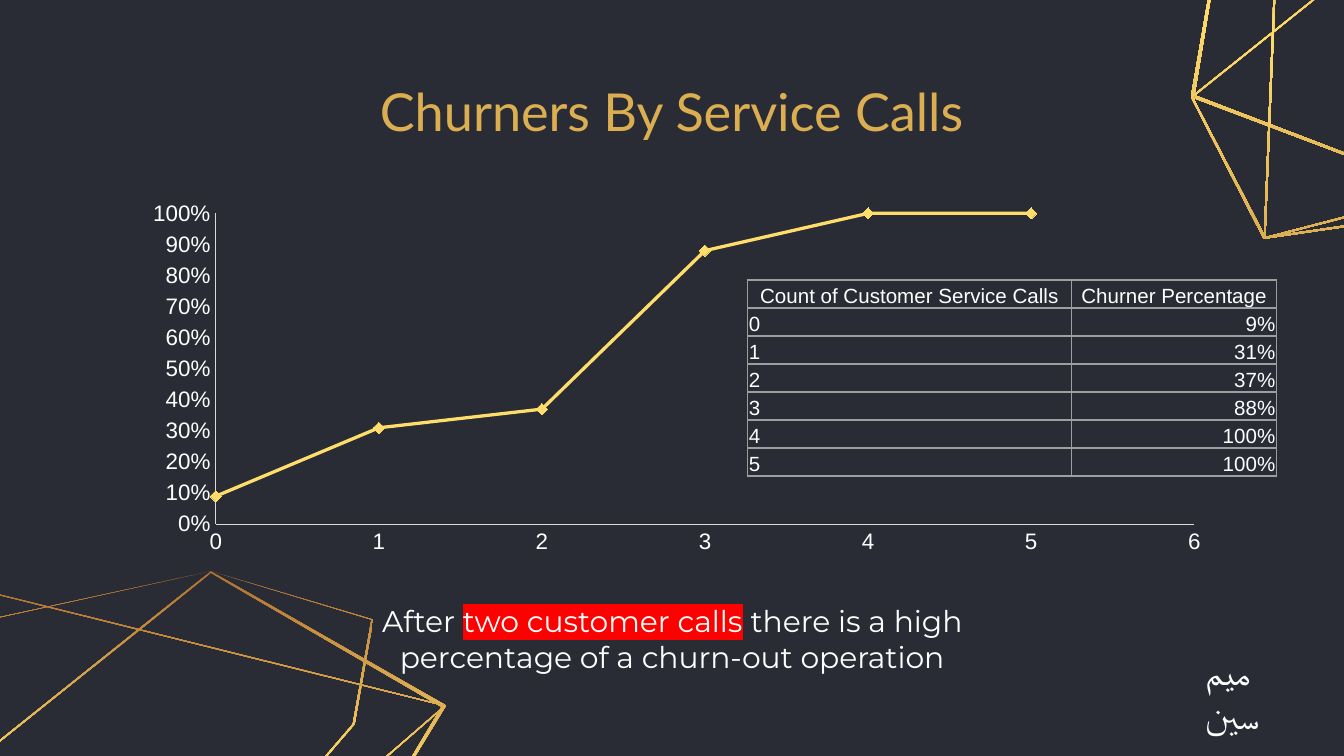
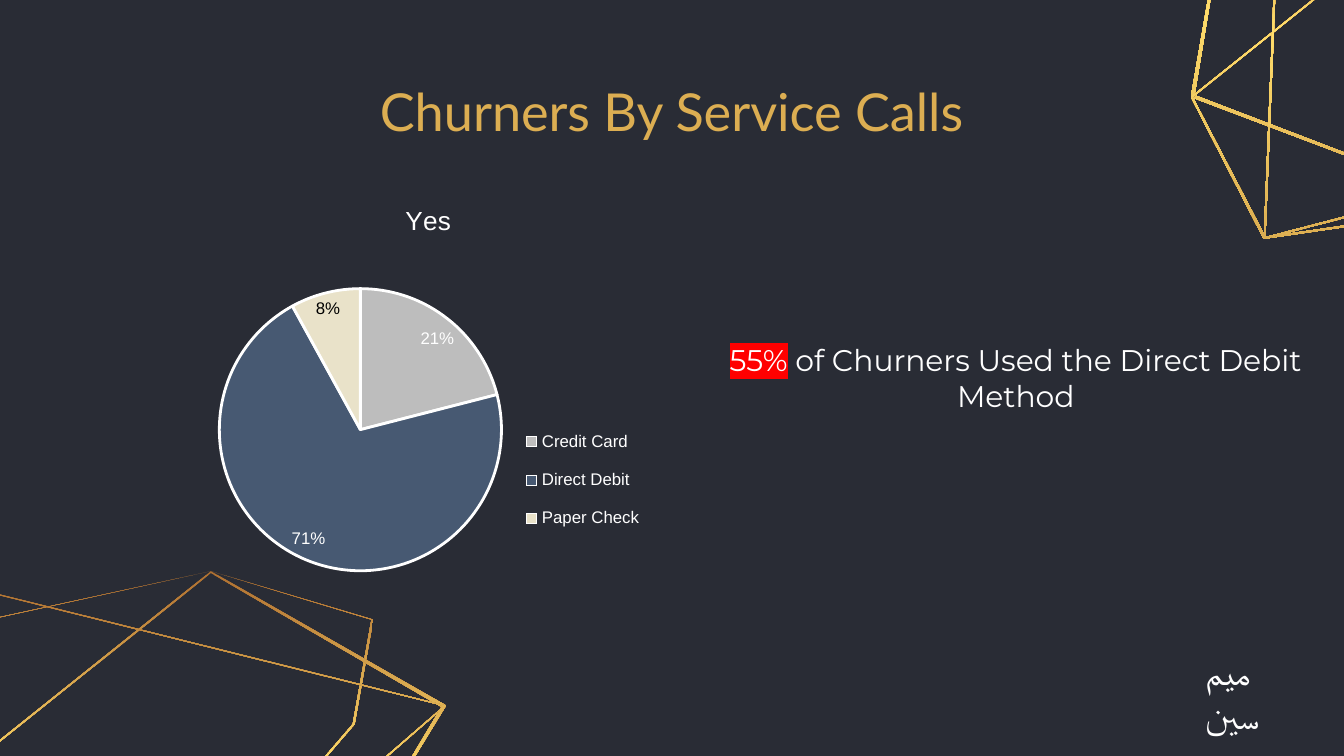
from lxml.etree import SubElement
from pptx import Presentation
from pptx.chart.data import CategoryChartData, XyChartData
from pptx.dml.color import RGBColor
from pptx.enum.chart import (XL_CHART_TYPE, XL_LABEL_POSITION, XL_LEGEND_POSITION,
                             XL_MARKER_STYLE, XL_TICK_MARK)
from pptx.enum.text import MSO_ANCHOR, MSO_AUTO_SIZE, PP_ALIGN
from pptx.oxml.ns import qn
from pptx.util import Pt

INK = RGBColor(0x29, 0x2C, 0x35)
WHITE = RGBColor(0xFF, 0xFF, 0xFF)
BLACK = RGBColor(0x00, 0x00, 0x00)
GOLD = RGBColor(0xDC, 0xAE, 0x52)
YELLOW = RGBColor(0xFF, 0xDD, 0x6B)
BRONZE = RGBColor(0xAF, 0x71, 0x32)
RED = RGBColor(0xFF, 0x00, 0x00)
AXIS_GREY = RGBColor(0xD9, 0xD9, 0xD9)
BORDER_GREY = RGBColor(0x9E, 0x9E, 0x9E)
SLICE_COLORS = (RGBColor(0xBD, 0xBD, 0xBD), RGBColor(0x47, 0x59, 0x72),
                RGBColor(0xE9, 0xE2, 0xC9))

HEADING = "Churners By Service Calls"
CHURN_RATES = (0.09, 0.31, 0.37, 0.88, 1, 1)
PAYMENT_SHARES = {"Credit Card": 21, "Direct Debit": 71, "Paper Check": 8}

# Corners of the wire polygons at the lower left, in points
WIRES = (
    ((-77, 458), (-57, 343), (113, 305.5), (200, 331.5), (190, 387.5), (79, 517)),
    ((-77, 458), (113, 305.5), (239, 378), (79, 517), (-38, 534)),
    ((-38, 534), (-29.5, 311), (239, 378), (178.5, 478)),
)
WIRE_OFFSETS = ((0, 0), (715, -406))
WIRE_SCALE = 0.99


def box(*lengths):
    return [Pt(v) for v in lengths]


def style_font(font, size, color, name="Arial"):
    font.size, font.name, font.bold = Pt(size), name, False
    font.color.rgb = color


def style_line(line, color, width):
    line.color.rgb = color
    line.width = Pt(width)


def fill_gold(sp):
    sp.fill.gradient()
    sp.fill.gradient_angle = 270
    stops = sp.element.spPr.find(".//" + qn("a:gsLst"))
    stops.clear()
    for pos, color in ((0, BRONZE), (50000, YELLOW), (100000, GOLD)):
        stop = SubElement(stops, qn("a:gs"), pos=str(pos))
        SubElement(stop, qn("a:srgbClr"), val=str(color))


def add_wire(s, corners):
    """Draw a thin polygon frame: the corners and a slightly smaller inner edge."""
    n = len(corners)
    cx, cy = (sum(axis) / n for axis in zip(*corners))
    inner = [(cx + (x - cx) * WIRE_SCALE, cy + (y - cy) * WIRE_SCALE)
             for x, y in reversed(corners)]
    builder = s.shapes.build_freeform(*corners[0], scale=Pt(1))
    builder.add_line_segments(corners[1:], close=True)
    builder.move_to(*inner[0])
    builder.add_line_segments(inner[1:], close=True)
    sp = builder.convert_to_shape()
    sp.shadow.inherit = False
    fill_gold(sp)
    sp.line.fill.background()
    return sp


def decorate_layout(s):
    """Build the wires on a slide and hand them to its layout."""
    tree = s.slide_layout.shapes.element
    for ph in list(s.slide_layout.placeholders):
        if ph.placeholder_format.idx:
            tree.remove(ph.element)
    wires = [add_wire(s, [(x + dx, y + dy) for x, y in wire])
             for dx, dy in WIRE_OFFSETS for wire in WIRES]
    for wire in wires:
        tree.append(wire.element)


def add_titled_slide(prs):
    s = prs.slides.add_slide(prs.slide_layouts[5])
    title = s.shapes.title
    title.left, title.top, title.width, title.height = box(157, 42.5, 405.5, 34)
    tf = title.text_frame
    tf.text = HEADING
    tf.auto_size = MSO_AUTO_SIZE.NONE
    tf.vertical_anchor = MSO_ANCHOR.MIDDLE
    tf.margin_top = tf.margin_bottom = Pt(7.2)
    p = tf.paragraphs[0]
    p.alignment = PP_ALIGN.CENTER
    style_font(p.runs[0].font, 28, GOLD, "Lato")
    return s


def highlight(r):
    rPr = r._r.get_or_add_rPr()
    mark = SubElement(rPr, qn("a:highlight"))
    SubElement(mark, qn("a:srgbClr"), val=str(RED))
    rPr.find(qn("a:solidFill")).addnext(mark)


def add_note(s, left, top, parts, marked):
    """Add a centred sentence made of parts, with part number marked in red."""
    tf = s.shapes.add_textbox(*box(left, top, 338.5, 27.5)).text_frame
    tf.word_wrap = True
    tf.vertical_anchor = MSO_ANCHOR.MIDDLE
    tf.margin_top = tf.margin_bottom = Pt(7.2)
    p = tf.paragraphs[0]
    p.alignment = PP_ALIGN.CENTER
    for i, part in enumerate(parts):
        r = p.add_run()
        r.text = part
        style_font(r.font, 16, WHITE, "Montserrat")
        if i == marked:
            highlight(r)


def add_signature(s):
    tf = s.shapes.add_textbox(*box(638.5, 343.5, 67.5, 31.5)).text_frame
    tf.word_wrap = True
    tf.text = "ميم سين"
    style_font(tf.paragraphs[0].runs[0].font, 20, WHITE, "Lato")


def set_layout(parent, index, x, y, w, h):
    """Fix a chart part's place, as fractions of the chart, at a child index."""
    for old in parent.findall(qn("c:layout")):
        parent.remove(old)
    layout = SubElement(parent, qn("c:layout"))
    manual = SubElement(layout, qn("c:manualLayout"))
    if parent.tag == qn("c:plotArea"):
        SubElement(manual, qn("c:layoutTarget"), val="inner")
    for name, val in (("xMode", "edge"), ("yMode", "edge"),
                      ("x", x), ("y", y), ("w", w), ("h", h)):
        SubElement(manual, qn("c:" + name), val=str(val))
    parent.insert(index, layout)


def style_axis(axis, maximum, step, number_format):
    axis.minimum_scale, axis.maximum_scale, axis.major_unit = 0, maximum, step
    axis.has_major_gridlines = False
    axis.major_tick_mark = axis.minor_tick_mark = XL_TICK_MARK.NONE
    axis.tick_labels.number_format = number_format
    axis.tick_labels.number_format_is_linked = False
    style_font(axis.tick_labels.font, 12, WHITE)
    style_line(axis.format.line, AXIS_GREY, 0.75)


def add_churn_chart(s):
    data = XyChartData()
    points = data.add_series("Series 1")
    for calls, rate in enumerate(CHURN_RATES):
        points.add_data_point(calls, rate)
    chart = s.shapes.add_chart(XL_CHART_TYPE.XY_SCATTER_LINES,
                               *box(69, 104.5, 582.5, 196), data).chart
    chart.has_legend = chart.has_title = False
    style_font(chart.font, 10, WHITE)
    style_axis(chart.category_axis, 6, 1, "0")
    style_axis(chart.value_axis, 1, 0.1, "0%")
    chart.plots[0].vary_by_categories = False
    series = chart.plots[0].series[0]
    series.smooth = False
    style_line(series.format.line, YELLOW, 1.75)
    series.marker.style = XL_MARKER_STYLE.DIAMOND
    series.marker.size = 6
    series.marker.format.fill.solid()
    series.marker.format.fill.fore_color.rgb = YELLOW
    series.marker.format.line.color.rgb = YELLOW
    set_layout(chart.element.find(".//" + qn("c:plotArea")), 0, 0.08, 0.05, 0.9, 0.85)


def add_payment_pie(s):
    data = CategoryChartData()
    data.categories = list(PAYMENT_SHARES)
    data.add_series("Yes", list(PAYMENT_SHARES.values()))
    chart = s.shapes.add_chart(XL_CHART_TYPE.PIE, *box(64, 98.5, 331, 216), data).chart
    style_font(chart.font, 10, WHITE)
    chart.has_title = True
    tf = chart.chart_title.text_frame
    tf.text = "Yes"
    style_font(tf.paragraphs[0].runs[0].font, 14, WHITE)

    chart.has_legend = True
    chart.legend.position = XL_LEGEND_POSITION.RIGHT
    chart.legend.include_in_layout = False
    style_font(chart.legend.font, 9, WHITE)

    chart.plots[0].vary_by_categories = True
    series = chart.plots[0].series[0]
    for i, color in enumerate(SLICE_COLORS):
        slice_format = series.points[i].format
        slice_format.fill.solid()
        slice_format.fill.fore_color.rgb = color
        style_line(slice_format.line, WHITE, 1.5)

    labels = series.data_labels
    labels.show_percentage, labels.show_value = True, False
    labels.number_format, labels.number_format_is_linked = "0%", False
    labels.position = XL_LABEL_POSITION.BEST_FIT
    style_font(labels.font, 9, WHITE)
    pale_label = series.points[2].data_label
    style_font(pale_label.font, 9, BLACK)
    pale_label.position = XL_LABEL_POSITION.BEST_FIT
    label_xml = chart.element.find(".//" + qn("c:dLbl"))
    label_xml.find(qn("c:showVal")).set("val", "0")
    label_xml.find(qn("c:showPercent")).set("val", "1")

    set_layout(chart.element.find(".//" + qn("c:plotArea")), 0, 0.16, 0.26, 0.46, 0.7)
    set_layout(chart.element.find(".//" + qn("c:legend")), 1, 0.64, 0.57, 0.22, 0.33)


def add_borders(cell):
    tcPr = cell._tc.get_or_add_tcPr()
    for i, side in enumerate("LRTB"):
        ln = SubElement(tcPr, qn("a:ln" + side), w=str(Pt(0.75)))
        fill = SubElement(ln, qn("a:solidFill"))
        SubElement(fill, qn("a:srgbClr"), val=str(BORDER_GREY))
        tcPr.insert(i, ln)


def fill_cell(cell, text, alignment):
    cell.text = text
    cell.fill.background()
    cell.vertical_anchor = MSO_ANCHOR.BOTTOM
    cell.margin_left = cell.margin_right = cell.margin_top = Pt(0.75)
    cell.margin_bottom = 0
    p = cell.text_frame.paragraphs[0]
    p.alignment = alignment
    style_font(p.runs[0].font, 11, WHITE)
    add_borders(cell)


def add_churn_table(s):
    rows = [("Count of Customer Service Calls", "Churner Percentage")]
    rows += [(str(calls), f"{rate:.0%}") for calls, rate in enumerate(CHURN_RATES)]
    table = s.shapes.add_table(len(rows), 2, *box(400.5, 150, 283.5, 105)).table
    table.first_row = table.horz_banding = False
    table.columns[0].width, table.columns[1].width = box(173.5, 110)
    for i, row in enumerate(rows):
        table.rows[i].height = Pt(15)
        for j, text in enumerate(row):
            body = (PP_ALIGN.LEFT, PP_ALIGN.RIGHT)[j]
            fill_cell(table.cell(i, j), text, body if i else PP_ALIGN.CENTER)


def main():
    prs = Presentation()
    prs.slide_width, prs.slide_height = box(720, 405)
    background = prs.slide_master.background.fill
    background.solid()
    background.fore_color.rgb = INK

    s = add_titled_slide(prs)
    decorate_layout(s)
    add_churn_chart(s)
    add_note(s, 191, 328.5, ("After ", "two customer calls",
             " there is a high percentage of a churn-out operation"), 1)
    add_churn_table(s)
    add_signature(s)

    s = add_titled_slide(prs)
    add_note(s, 375, 188.5, ("55%", " of Churners Used the Direct Debit Method"), 0)
    add_signature(s)
    add_payment_pie(s)
    prs.save("out.pptx")


if __name__ == "__main__":
    main()
